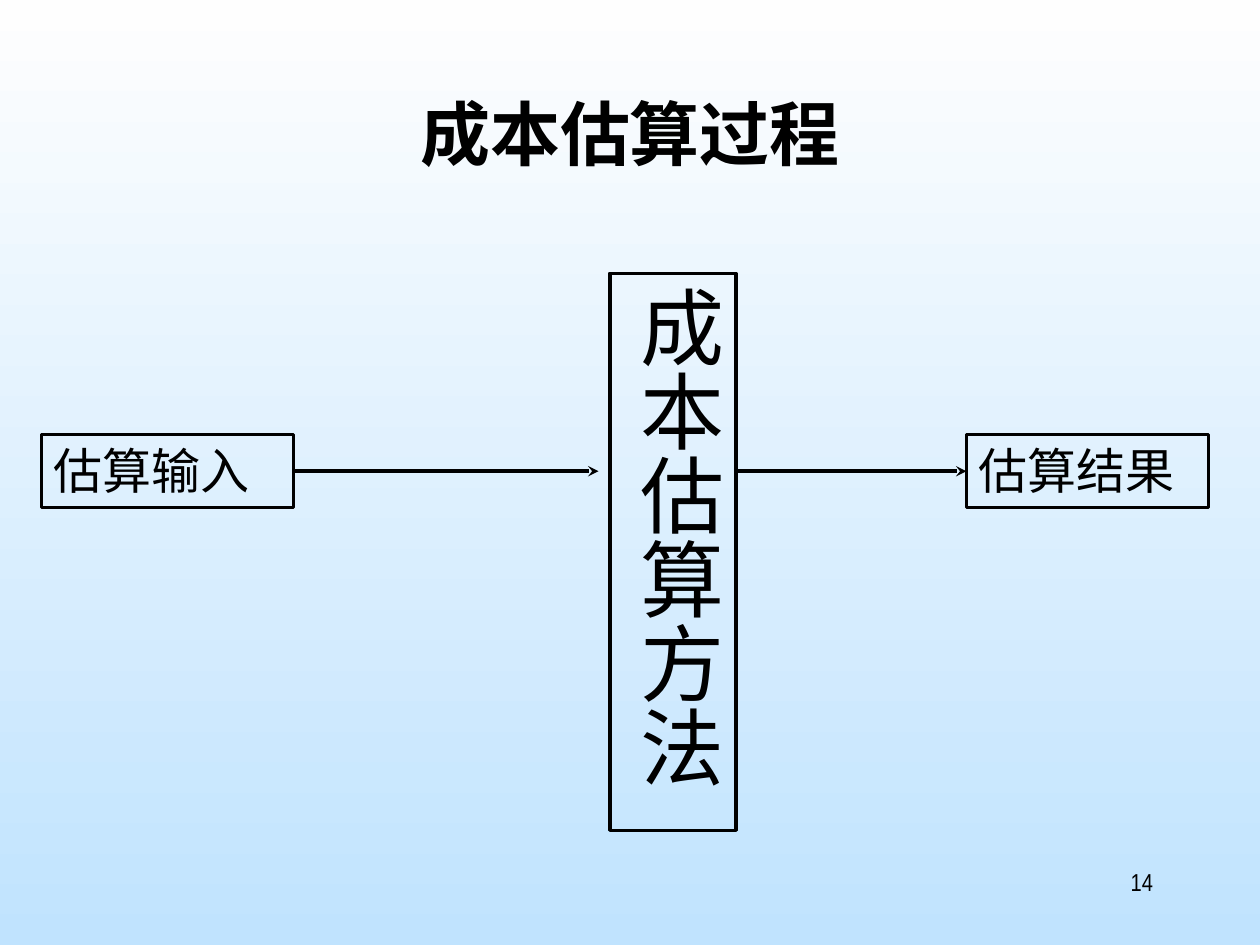
from pptx import Presentation
from pptx.dml.color import RGBColor
from pptx.enum.shapes import MSO_CONNECTOR, MSO_SHAPE
from pptx.enum.text import MSO_ANCHOR, PP_ALIGN
from pptx.oxml.ns import qn
from pptx.util import Inches, Pt
from lxml.etree import SubElement

BLACK = RGBColor(0, 0, 0)
WHITE = RGBColor(0xFE, 0xFE, 0xFE)
SKY = RGBColor(0xC0, 0xE3, 0xFE)
LATIN = "Arial Narrow"
HAN = "Noto Sans CJK SC"


class Board:
    def __init__(self, deck):
        self.slide = deck.slides.add_slide(deck.slide_layouts[6])
        self.font = {"name": LATIN, "bold": False}

    def shade(self, top, base):
        fill = self.slide.background.fill
        fill.gradient()
        fill.gradient_angle = 270
        for stop, color, spot in zip(fill.gradient_stops, (top, base), (0, 1)):
            stop.color.rgb = color
            stop.position = spot

    def set_text(self, shape, text, align, **style):
        frame = shape.text_frame
        frame.word_wrap = True
        frame.vertical_anchor = MSO_ANCHOR.TOP
        para = frame.paragraphs[0]
        para.alignment = align
        run = para.add_run()
        run.text = text
        for key, value in {**self.font, **style}.items():
            setattr(run.font, key, value)
        run.font.color.rgb = BLACK
        SubElement(run.font._element, qn("a:ea"), typeface=HAN)

    def label(self, text, area, align, **style):
        shape = self.slide.shapes.add_textbox(*map(Inches, area))
        self.set_text(shape, text, align, **style)

    def box(self, text, area, size, tall=False):
        shape = self.slide.shapes.add_shape(MSO_SHAPE.RECTANGLE, *map(Inches, area))
        shape.shadow.inherit = False
        shape.fill.background()
        shape.line.color.rgb = BLACK
        shape.line.width = Pt(2)
        align = PP_ALIGN.CENTER if tall else PP_ALIGN.LEFT
        self.set_text(shape, text, align, size=Pt(size))
        if tall:
            frame = shape.text_frame
            for side in ("left", "right"):
                setattr(frame, f"margin_{side}", Inches(0.05))
            for side in ("top", "bottom"):
                setattr(frame, f"margin_{side}", Inches(0.1))
            frame._txBody.bodyPr.set("vert", "eaVert")
        return shape

    def arrow(self, left, right, y):
        ends = map(Inches, (left, y, right, y))
        link = self.slide.shapes.add_connector(MSO_CONNECTOR.STRAIGHT, *ends)
        link.line.color.rgb = BLACK
        link.line.width = Pt(2)
        SubElement(link.line._get_or_add_ln(), qn("a:tailEnd"), type="stealth")
        SubElement(link._element.spPr, qn("a:effectLst"))
        return link


def main():
    deck = Presentation()
    deck.slide_width, deck.slide_height = Inches(10), Inches(7.5)
    board = Board(deck)
    board.shade(WHITE, SKY)
    board.label("成本估算过程", (0.75, 0.67, 8.5, 1.25), PP_ALIGN.CENTER,
                name=HAN, size=Pt(40), bold=True)
    source = board.box("估算输入", (0.33, 3.45, 2, 0.58), 28)
    result = board.box("估算结果", (7.67, 3.45, 1.92, 0.58), 28)
    board.box("成本估算方法", (4.84, 2.17, 1, 4.42), 48, tall=True)
    board.arrow(2.33, 4.75, 3.74).begin_connect(source, 3)
    board.arrow(5.84, 7.67, 3.74).end_connect(result, 1)
    board.label("14", (7.17, 6.83, 2.08, 0.5), PP_ALIGN.RIGHT, size=Pt(14))
    deck.save("out.pptx")


if __name__ == "__main__":
    main()
